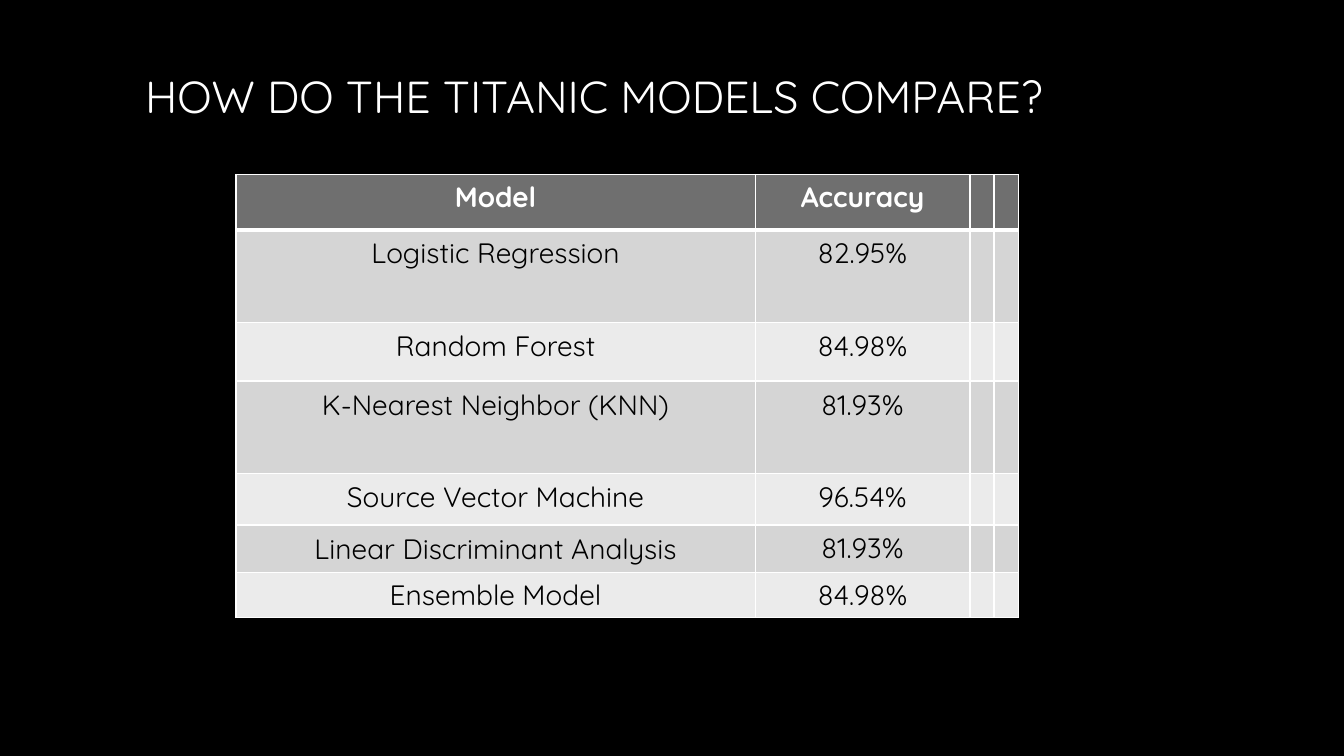
from lxml import etree
from pptx import Presentation
from pptx.dml.color import RGBColor
from pptx.enum import text
from pptx.oxml import ns
from pptx.util import Inches, Pt

BLACK = RGBColor(0x00, 0x00, 0x00)
WHITE = RGBColor(0xFF, 0xFF, 0xFF)
HEADER_GREY = RGBColor(0x6F, 0x6F, 0x6F)
DARK_BAND = RGBColor(0xD5, 0xD5, 0xD5)
LIGHT_BAND = RGBColor(0xEB, 0xEB, 0xEB)
FONT = "Quicksand"

COLUMN_WIDTHS = [5.15, 2.13, 0.23, 0.23]
ROW_HEIGHTS = [0.55, 0.92, 0.58, 0.92, 0.51, 0.46, 0.45]
RESULTS = [
    ("Model", "Accuracy"),
    ("Logistic Regression", "82.95%"),
    ("Random Forest", "84.98%"),
    ("K-Nearest Neighbor (KNN)", "81.93%"),
    ("Source Vector Machine", "96.54%"),
    ("Linear Discriminant Analysis", "81.93%"),
    ("Ensemble Model", "84.98%"),
]
# Cells with the roomier padding, as (row, column)
PADDED = {(row, column) for row in range(1, 5) for column in range(2)} | {(5, 0)}


def style_font(font, size, color, bold=False):
    font.name = FONT
    font.size = Pt(size)
    font.bold = bold
    font.color.rgb = color


def add_title(slide, wording):
    title = slide.shapes.title
    title.left, title.top = Inches(1.34), Inches(-0.09)
    title.width, title.height = Inches(10.83), Inches(2.08)
    frame = title.text_frame
    frame.text = wording
    frame.auto_size = text.MSO_AUTO_SIZE.NONE
    frame.vertical_anchor = text.MSO_ANCHOR.MIDDLE
    heading = frame.paragraphs[0]
    heading.alignment = text.PP_ALIGN.LEFT
    style_font(heading.runs[0].font, 32, WHITE)


def set_borders(cell, top, bottom):
    """Draw white borders; top and bottom are widths in points."""
    properties = cell._tc.get_or_add_tcPr()
    widths = {"lnL": 1, "lnR": 1, "lnT": top, "lnB": bottom}
    for position, (side, width) in enumerate(widths.items()):
        line = etree.Element(ns.qn(f"a:{side}"), w=str(Pt(width)))
        fill = etree.SubElement(line, ns.qn("a:solidFill"))
        etree.SubElement(fill, ns.qn("a:srgbClr"), val=str(WHITE))
        properties.insert(position, line)


def fill_cell(cell, row, column):
    header = row == 0
    cell.fill.solid()
    cell.fill.fore_color.rgb = (
        HEADER_GREY if header else DARK_BAND if row % 2 else LIGHT_BAND
    )
    set_borders(cell, top=3 if row == 1 else 1, bottom=3 if header else 1)
    if (row, column) in PADDED:
        cell.margin_left = cell.margin_right = Inches(0.12)
        cell.margin_top = cell.margin_bottom = Inches(0.06)
    if column < len(RESULTS[row]):
        cell.text_frame.text = RESULTS[row][column]
        entry = cell.text_frame.paragraphs[0]
        entry.alignment = text.PP_ALIGN.CENTER
        style_font(entry.runs[0].font, 20, WHITE if header else BLACK, header)


def add_accuracy_table(slide):
    accuracy = slide.shapes.add_table(
        len(ROW_HEIGHTS), len(COLUMN_WIDTHS), Inches(2.34), Inches(1.73),
        Inches(sum(COLUMN_WIDTHS)), Inches(sum(ROW_HEIGHTS)),
    ).table
    for column, width in zip(accuracy.columns, COLUMN_WIDTHS):
        column.width = Inches(width)
    for row, height in enumerate(ROW_HEIGHTS):
        accuracy.rows[row].height = Inches(height)
        for column in range(len(COLUMN_WIDTHS)):
            fill_cell(accuracy.cell(row, column), row, column)


def main():
    deck = Presentation()
    deck.slide_width, deck.slide_height = Inches(13.33), Inches(7.5)
    slide = deck.slides.add_slide(deck.slide_layouts[5])
    slide.background.fill.solid()
    slide.background.fill.fore_color.rgb = BLACK
    add_title(slide, "HOW DO THE TITANIC MODELS COMPARE?")
    add_accuracy_table(slide)
    deck.save("out.pptx")


if __name__ == "__main__":
    main()
